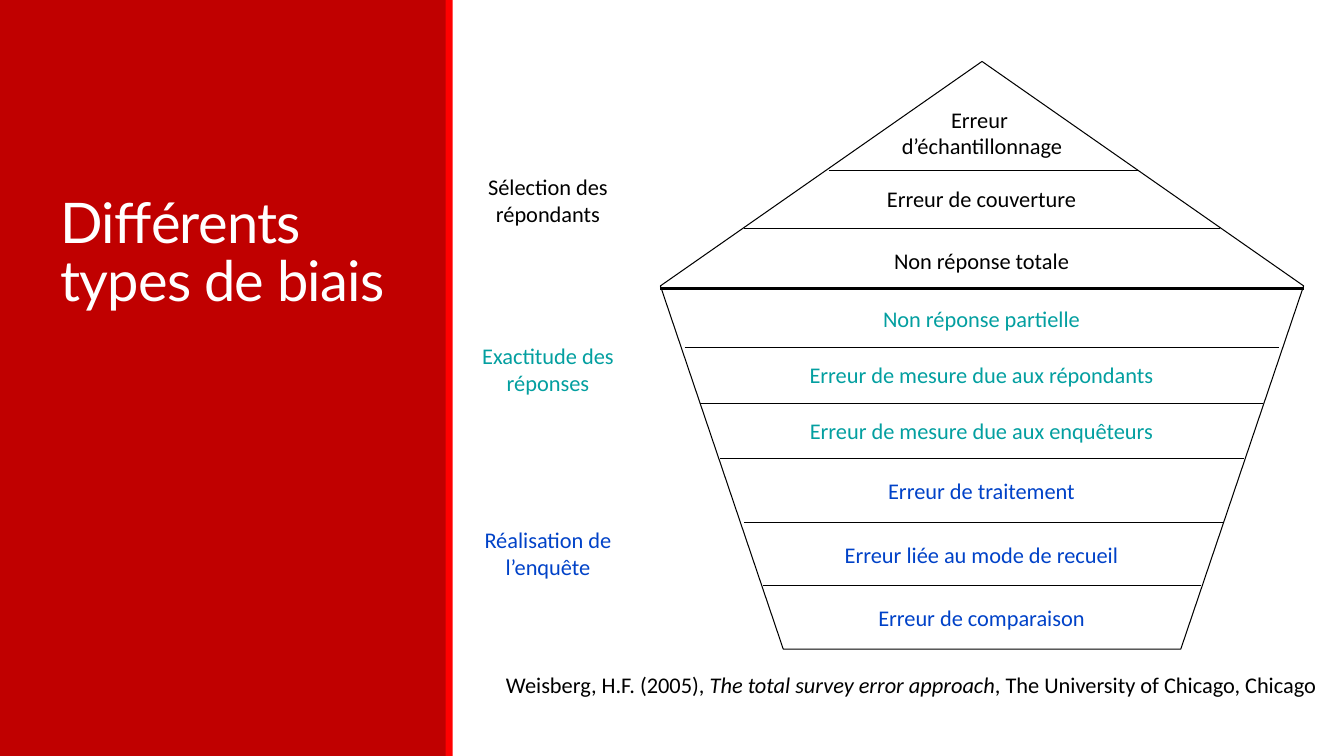
from pptx import Presentation
from pptx.dml.color import RGBColor
from pptx.enum.shapes import MSO_CONNECTOR, MSO_SHAPE
from pptx.enum.text import MSO_ANCHOR, MSO_AUTO_SIZE, PP_ALIGN
from pptx.oxml.ns import qn
from pptx.util import Pt
from lxml.etree import SubElement

PX = 9144
COLORS = {
    "panel": "C00000",
    "stripe": "FF0000",
    "title": "FFFFFF",
    "selection": "000000",
    "accuracy": "039FA0",
    "survey": "0042C8",
}
TITLE = "Différents types de biais"
GROUPS = [
    ("Sélection des répondants", 167, "selection"),
    ("Exactitude des réponses", 335, "accuracy"),
    ("Réalisation de l’enquête", 517, "survey"),
]
ERRORS = [
    ("Erreur \nd’échantillonnage", 39, 276, "selection"),
    ("Erreur de couverture", 118, 291, "selection"),
    ("Non réponse totale", 179, 299, "selection"),
    ("Non réponse partielle", 237, 299, "accuracy"),
    ("Erreur de mesure due aux répondants", 292, 425, "accuracy"),
    ("Erreur de mesure due aux enquêteurs", 348, 425, "accuracy"),
    ("Erreur de traitement", 407, 299, "survey"),
    ("Erreur liée au mode de recueil", 471, 323, "survey"),
    ("Erreur de comparaison", 533, 299, "survey"),
]
DIVIDERS = [
    (108, 167, 474, 0.75),
    (166, 83, 555, 0.75),
    (225, 0, 638, 2.25),
    (284, 24, 614, 0.75),
    (339, 39, 598, 0.75),
    (394, 59, 579, 0.75),
    (457, 83, 559, 0.75),
    (520, 102, 536, 0.75),
]
SOURCE = [
    ("Weisberg, H.F. (2005), ", False),
    ("The total survey error approach", True),
    (", The University of Chicago, Chicago", False),
]


def color(name):
    """Return the named colour."""
    return RGBColor.from_string(COLORS[name])


def emu(*lengths):
    """Turn px lengths into EMU."""
    return [length * PX for length in lengths]


def add_span(para, text, tint, size=16, font="Calibri", italic=False):
    """Add one styled run and return it."""
    span = para.add_run()
    span.text = text
    span.font.size = Pt(size)
    span.font.name = font
    span.font.italic = italic
    span.font.color.rgb = color(tint)
    return span


def add_text_box(page, box, align=PP_ALIGN.CENTER):
    """Add a wrapping text box and return its frame."""
    frame = page.shapes.add_textbox(*emu(*box)).text_frame
    frame.word_wrap = True
    frame.auto_size = MSO_AUTO_SIZE.SHAPE_TO_FIT_TEXT
    frame.paragraphs[0].alignment = align
    return frame


def add_label(page, box, text, tint):
    """Add a centred label, breaking it at each newline."""
    para = add_text_box(page, box).paragraphs[0]
    for index, line in enumerate(text.split("\n")):
        if index:
            para.add_line_break()
        add_span(para, line, tint)


def add_bar(page, box, tint):
    """Add a plain filled rectangle."""
    bar = page.shapes.add_shape(MSO_SHAPE.RECTANGLE, *emu(*box))
    bar.shadow.inherit = False
    bar.fill.solid()
    bar.fill.fore_color.rgb = color(tint)
    bar.line.fill.background()


def add_divider(page, left, right, y, weight):
    """Add a horizontal line across the pentagon."""
    line = page.shapes.add_connector(MSO_CONNECTOR.STRAIGHT, *emu(left, y, right, y))
    line.line.color.rgb = color("selection")
    line.line.width = Pt(weight)
    SubElement(line._element.spPr, qn("a:effectLst"))


def draw_title_panel(page, box):
    """Draw the red side panel with the slide title."""
    left, top, width, height = box
    add_bar(page, (left, top, width - 6, height), "panel")
    add_bar(page, (left + width - 7, top, 7, height), "stripe")
    frame = add_text_box(page, (left + 50, top + 65, 350, 250), PP_ALIGN.LEFT)
    frame.auto_size = MSO_AUTO_SIZE.NONE
    frame.vertical_anchor = MSO_ANCHOR.BOTTOM
    para = frame.paragraphs[0]
    para.line_spacing = 0.85
    span = add_span(para, TITLE, "title", 40, "Lato")
    span.font._element.set("spc", "-50")


def draw_pentagon(page, box):
    """Draw the pentagon, its dividers and the error names."""
    left, top, width, height = box
    pentagon = page.shapes.add_shape(MSO_SHAPE.REGULAR_PENTAGON, *emu(*box))
    pentagon.shadow.inherit = False
    pentagon.fill.background()
    pentagon.line.color.rgb = color("selection")
    pentagon.line.width = Pt(0.75)
    for y, start, end, weight in DIVIDERS:
        add_divider(page, left + start, left + end, top + y, weight)
    for text, y, label_width, tint in ERRORS:
        label_left = left + (width - label_width) // 2
        label_height = 64 if "\n" in text else 37
        add_label(page, (label_left, top + y, label_width, label_height), text, tint)


def draw_groups(page, box):
    """Draw the names of the three error groups."""
    left, top, width, height = box
    for text, y, tint in GROUPS:
        add_label(page, (left, top + y, width, 64), text, tint)


def draw_source(page, box):
    """Write the bibliographic reference."""
    para = add_text_box(page, box, PP_ALIGN.LEFT).paragraphs[0]
    for text, italic in SOURCE:
        add_span(para, text, "selection", italic=italic)


def main():
    """Build and save the deck."""
    deck = Presentation()
    deck.slide_width, deck.slide_height = emu(1333, 750)
    page = deck.slides.add_slide(deck.slide_layouts[6])
    draw_title_panel(page, (0, 0, 449, 750))
    draw_pentagon(page, (655, 61, 638, 583))
    draw_source(page, (492, 661, 841, 37))
    draw_groups(page, (453, 0, 181, 750))
    deck.save("out.pptx")


if __name__ == "__main__":
    main()
